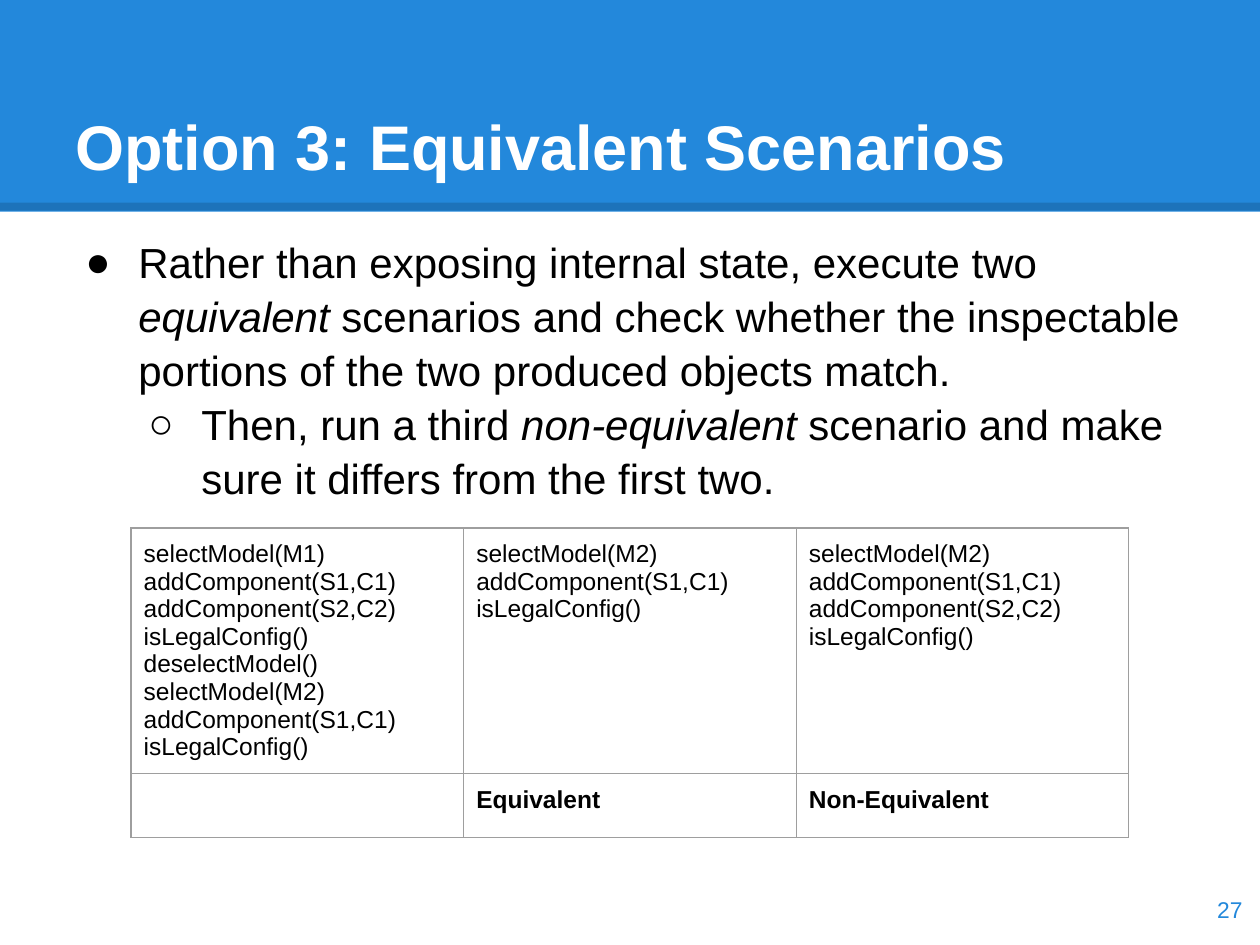
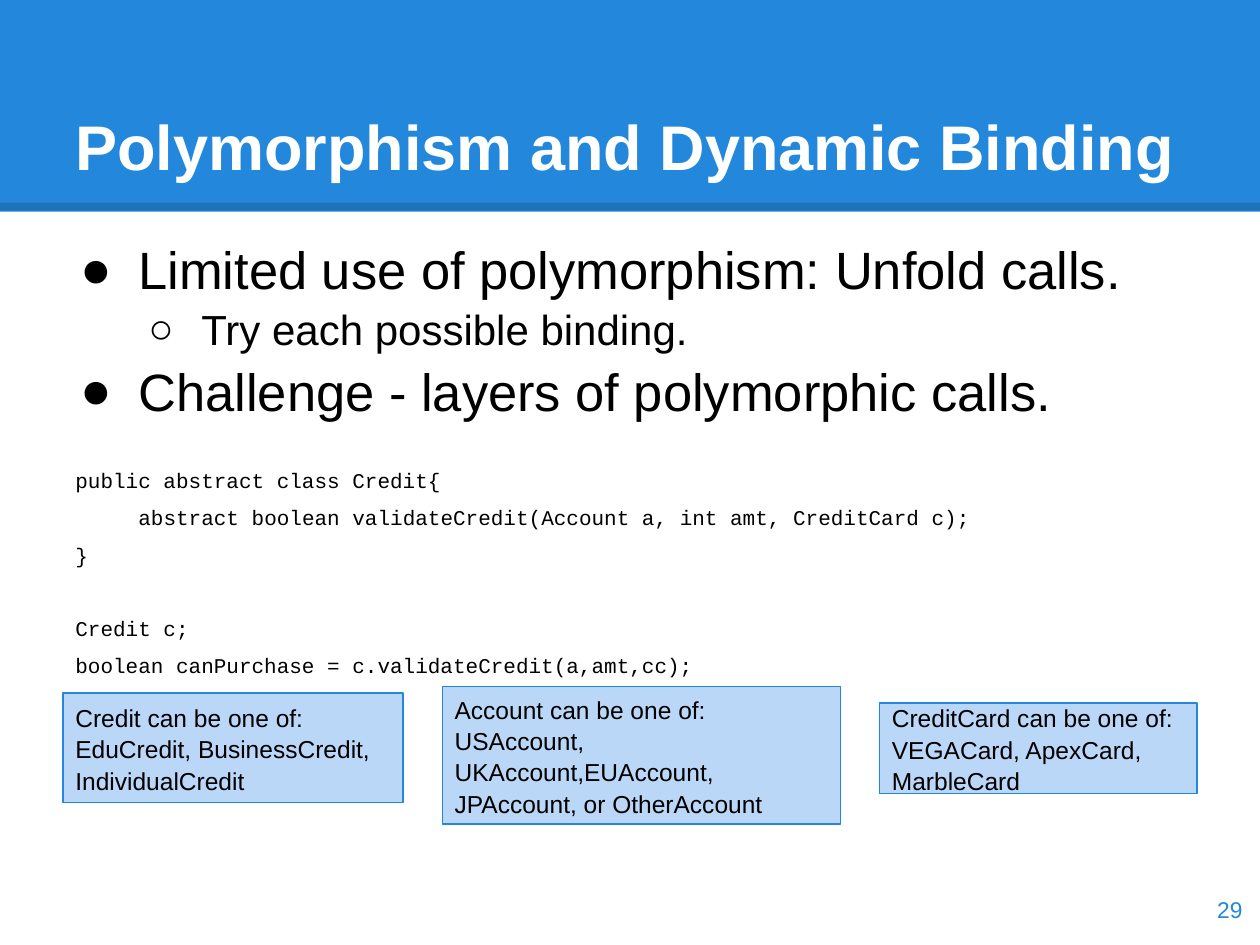
from pptx import Presentation
from pptx.dml.color import RGBColor
from pptx.enum.shapes import MSO_CONNECTOR, MSO_SHAPE
from pptx.enum.text import MSO_ANCHOR, MSO_AUTO_SIZE, PP_ALIGN
from pptx.oxml import parse_xml
from pptx.oxml.ns import nsdecls, qn
from pptx.util import Inches, Pt
from lxml.etree import SubElement

BLUE = RGBColor(0x23, 0x88, 0xDB)
PALE = RGBColor(0xBB, 0xD7, 0xF8)
BLACK = RGBColor(0, 0, 0)
WHITE = RGBColor(255, 255, 255)
GREY = RGBColor(0x9E, 0x9E, 0x9E)
LOOSE = 1.07

TOP = dict(mark="●", left=0.5, hang=0.42, size=24)
BIG = dict(TOP, hang=0.46, size=30)
SUB = dict(mark="○", left=1, hang=0.42, size=24)
CODE = dict(font="Courier New", size=12, before=6)

SCENES = [
    ("Rather than exposing internal state, execute two *equivalent* scenarios "
     "and check whether the inspectable portions of the two produced objects match.", TOP),
    ("Then, run a third *non-equivalent* scenario and make sure it differs "
     "from the first two.", SUB),
]
CALLS = [
    ["selectModel(M1)", "addComponent(S1,C1)", "addComponent(S2,C2)", "isLegalConfig()",
     "deselectModel()", "selectModel(M2)", "addComponent(S1,C1)", "isLegalConfig()"],
    ["selectModel(M2)", "addComponent(S1,C1)", "isLegalConfig()"],
    ["selectModel(M2)", "addComponent(S1,C1)", "addComponent(S2,C2)", "isLegalConfig()"],
]
LABELS = ["", "Equivalent", "Non-Equivalent"]

BINDING = [
    ("Limited use of polymorphism: Unfold calls.", BIG),
    ("Try each possible binding.", SUB),
    ("Challenge - layers of polymorphic calls.", BIG),
    ("public abstract class Credit{", dict(CODE, before=25)),
    ("\tabstract boolean validateCredit(Account a, int amt, CreditCard c);", CODE),
    ("}", CODE),
    ("Credit c;", dict(CODE, before=26.5)),
    ("boolean canPurchase = c.validateCredit(a,amt,cc);", CODE),
]
TYPES = [
    ((0.5, 5.5, 2.7, 0.87),
     ["Credit can be one of: EduCredit, BusinessCredit, IndividualCredit"]),
    ((3.51, 5.45, 3.16, 1.09),
     ["Account can be one of:", "USAccount, UKAccount,EUAccount, JPAccount, or OtherAccount"]),
    ((6.98, 5.58, 2.52, 0.72),
     ["CreditCard can be one of:", "VEGACard, ApexCard, MarbleCard"]),
]


def place(box):
    return [Inches(n) for n in box]


def write(para, text, size=14, font="Arial", color=BLACK, bold=False,
          align=PP_ALIGN.LEFT, space=1.0, before=0, mark=None, left=0, hang=0):
    props = para._p.get_or_add_pPr()
    if mark:
        props.set("marL", str(Inches(left)))
        props.set("indent", str(-Inches(hang)))
        SubElement(props, qn("a:buFont")).set("typeface", "Arial")
        SubElement(props, qn("a:buChar")).set("char", mark)
    para.alignment = align
    para.line_spacing = space
    para.space_before = Pt(before)
    for i, part in enumerate(text.split("*")):
        if part:
            run = para.add_run()
            run.text = part
            face = run.font
            face.name, face.size, face.bold = font, Pt(size), bold
            face.italic = i % 2 == 1
            face.color.rgb = color


def fill(frame, lines, anchor=MSO_ANCHOR.TOP, **form):
    frame.word_wrap = True
    frame.auto_size = MSO_AUTO_SIZE.NONE
    frame.vertical_anchor = anchor
    frame.margin_left = frame.margin_right = Inches(0.1)
    frame.margin_top = frame.margin_bottom = Inches(0.1)
    for i, line in enumerate(lines):
        text, own = line if isinstance(line, tuple) else (line, {})
        para = frame.add_paragraph() if i else frame.paragraphs[0]
        write(para, text, **{**form, **own})


def add_box(slide, box, lines, **form):
    fill(slide.shapes.add_textbox(*place(box)).text_frame, lines, **form)


def add_rect(slide, box, color):
    rect = slide.shapes.add_shape(MSO_SHAPE.RECTANGLE, *place(box))
    rect.shadow.inherit = False
    rect.fill.solid()
    rect.fill.fore_color.rgb = color
    return rect


def add_band(slide):
    band = add_rect(slide, (0, 0, 10, 1.68), BLUE)
    band.line.fill.background()
    edge = slide.shapes.add_connector(MSO_CONNECTOR.STRAIGHT, *place((0, 1.64, 10, 1.64)))
    edge.line.color.rgb = BLACK
    edge.line.width = Pt(4.5)
    tint = edge._element.spPr.find(".//" + qn("a:srgbClr"))
    SubElement(tint, qn("a:alpha")).set("val", "15000")
    SubElement(edge._element.spPr, qn("a:effectLst"))
    tree = slide.shapes._spTree
    for i, item in enumerate((band, edge)):
        tree.insert(2 + i, item._element)


def add_slide(deck, name, number, body):
    slide = deck.slides.add_slide(deck.slide_layouts[5])
    add_band(slide)
    title = slide.shapes.title
    title.left, title.top, title.width, title.height = place((0.5, 0.3, 9, 1.25))
    fill(title.text_frame, [name], anchor=MSO_ANCHOR.BOTTOM,
         size=36, color=WHITE, bold=True)
    add_box(slide, (0.5, 1.75, 9, 5.43), body, space=LOOSE)
    add_box(slide, (9.36, 6.93, 0.6, 0.57), [number], anchor=MSO_ANCHOR.MIDDLE,
            size=13, color=BLUE, align=PP_ALIGN.RIGHT)
    return slide


def add_grid(slide):
    grid = slide.shapes.add_table(2, 3, *place((1.04, 4.19, 7.92, 2.42))).table
    grid.first_row = grid.horz_banding = False
    for row, tall in zip(grid.rows, (1.94, 0.48)):
        row.height = Inches(tall)
    for c, (calls, label) in enumerate(zip(CALLS, LABELS)):
        for r, lines in enumerate((calls, [label])):
            cell = grid.cell(r, c)
            props = cell._tc.get_or_add_tcPr()
            for side in "LRTB":
                props.append(parse_xml(
                    f'<a:ln{side} {nsdecls("a")} w="{Pt(0.75)}"><a:solidFill>'
                    f'<a:srgbClr val="{GREY}"/></a:solidFill></a:ln{side}>'))
            cell.fill.background()
            cell.margin_left = cell.margin_right = Inches(0.1)
            cell.margin_top = cell.margin_bottom = Inches(0.1)
            for i, line in enumerate(lines):
                frame = cell.text_frame
                para = frame.add_paragraph() if i else frame.paragraphs[0]
                write(para, line, bold=r == 1)


def main():
    deck = Presentation()
    deck.slide_width, deck.slide_height = Inches(10), Inches(7.5)
    add_grid(add_slide(deck, "Option 3: Equivalent Scenarios", "27", SCENES))
    slide = add_slide(deck, "Polymorphism and Dynamic Binding", "29", BINDING)
    for box, lines in TYPES:
        rect = add_rect(slide, box, PALE)
        rect.line.color.rgb = BLUE
        rect.line.width = Pt(0.75)
        fill(rect.text_frame, lines, anchor=MSO_ANCHOR.MIDDLE, space=LOOSE)
    deck.save("out.pptx")


if __name__ == "__main__":
    main()
